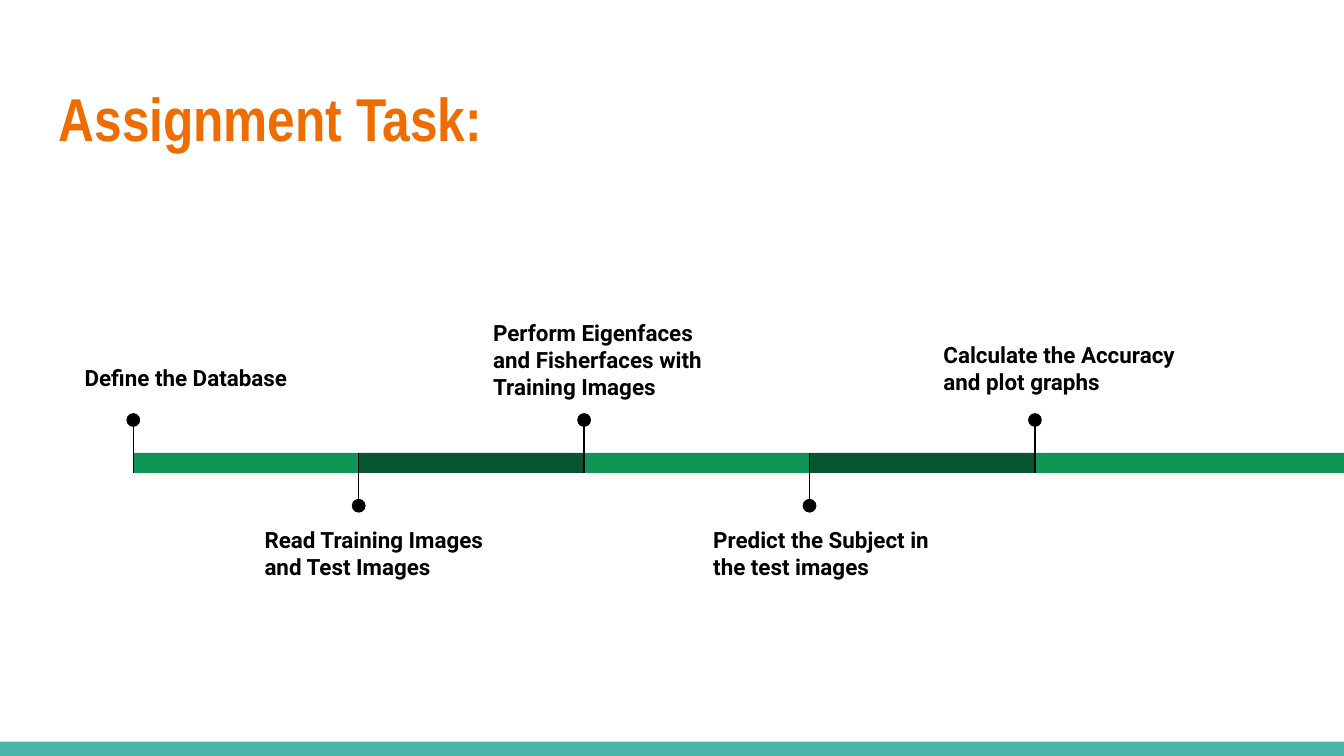
"""Build the assignment task timeline slide."""
from dataclasses import dataclass

from lxml import etree
from pptx import Presentation
from pptx.dml.color import RGBColor
from pptx.enum.shapes import MSO_CONNECTOR, MSO_SHAPE
from pptx.enum.text import MSO_ANCHOR
from pptx.oxml.ns import qn
from pptx.util import Cm, Pt

RECT = MSO_SHAPE.RECTANGLE
OVAL = MSO_SHAPE.OVAL
LINE = MSO_CONNECTOR.STRAIGHT
TOP = MSO_ANCHOR.TOP
MIDDLE = MSO_ANCHOR.MIDDLE


@dataclass(frozen=True)
class Theme:
    teal: str = "4DB6AC"
    orange: str = "EF6C00"
    light: str = "0E9453"
    dark: str = "085631"
    black: str = "000000"
    head: float = 32.4
    body: float = 12
    rule: float = 0.75


theme = Theme()
deck = Presentation()
deck.slide_width, deck.slide_height = Cm(25.4), Cm(14.29)
slide = deck.slides.add_slide(deck.slide_layouts[6])
shapes = slide.shapes


def add_text(text, *, box, face, size, color, anchor=TOP, after=0):
    frame = shapes.add_textbox(*map(Cm, box)).text_frame
    frame.word_wrap = True
    frame.vertical_anchor = anchor
    frame.margin_left = frame.margin_right = Cm(0.25)
    frame.margin_top = frame.margin_bottom = Cm(0.25)
    para = frame.paragraphs[0]
    para.space_after = Pt(after)
    run = para.add_run()
    run.text = text
    run.font.name, run.font.size, run.font.bold = face, Pt(size), True
    run.font.color.rgb = RGBColor.from_string(color)


def add_shape(kind, box, color):
    shape = shapes.add_shape(kind, *map(Cm, box))
    shape.shadow.inherit = False
    shape.fill.solid()
    shape.fill.fore_color.rgb = RGBColor.from_string(color)
    shape.line.fill.background()


add_shape(RECT, (0, 14.02, 25.4, 0.27), theme.teal)
add_text("Assignment Task:", box=(0.86, 1.24, 23.67, 1.96), face="Arial Narrow",
         size=theme.head, color=theme.orange, anchor=MIDDLE)

left, step, bar_top, bar_high = 2.52, 4.26, 8.56, 0.38
stem, dot = 1, 0.26
steps = [
    ("Define the Database", 1.35, 6.63),
    ("Read Training Images and Test Images", 4.75, 9.7),
    ("Perform Eigenfaces and Fisherfaces with Training Images", 9.07, 5.79),
    ("Predict the Subject in the test images", 13.23, 9.7),
    ("Calculate the Accuracy and plot graphs", 17.58, 6.2),
]

for i, (label, text_x, text_y) in enumerate(steps):
    x = left + i * step
    below = i % 2 == 1
    wide = 25.4 - x if i == len(steps) - 1 else step
    add_shape(RECT, (x, bar_top, wide, bar_high), theme.dark if below else theme.light)

    start = bar_top if below else bar_top + bar_high
    end = start + stem if below else start - stem
    line = shapes.add_connector(LINE, Cm(x), Cm(start), Cm(x), Cm(end))
    line.line.width = Pt(theme.rule)
    line.line.color.rgb = RGBColor.from_string(theme.black)
    etree.SubElement(line._element.spPr, qn("a:effectLst"))

    add_shape(OVAL, (x - dot / 2, end - dot / 2, dot, dot), theme.black)
    add_text(label, box=(text_x, text_y, 4.95, 2.62), face="Roboto",
             size=theme.body, color=theme.black, after=16)

deck.save("out.pptx")
